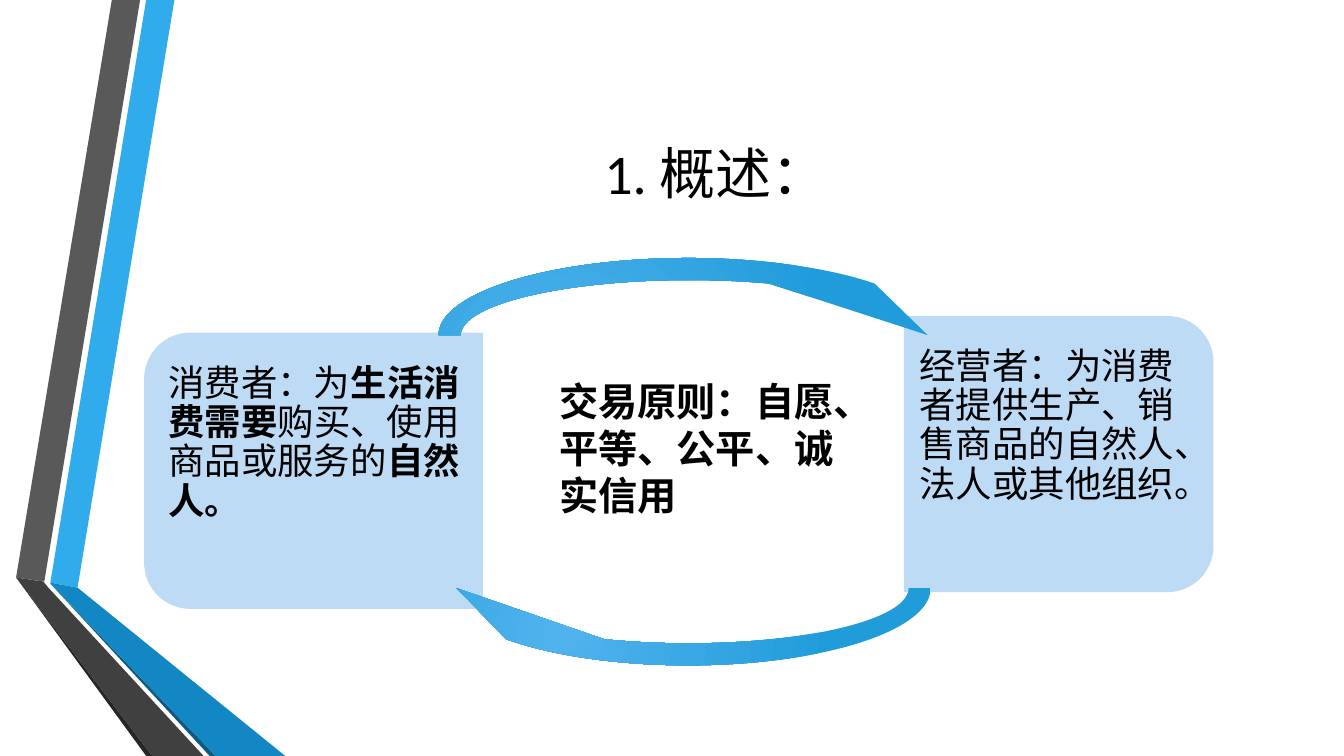
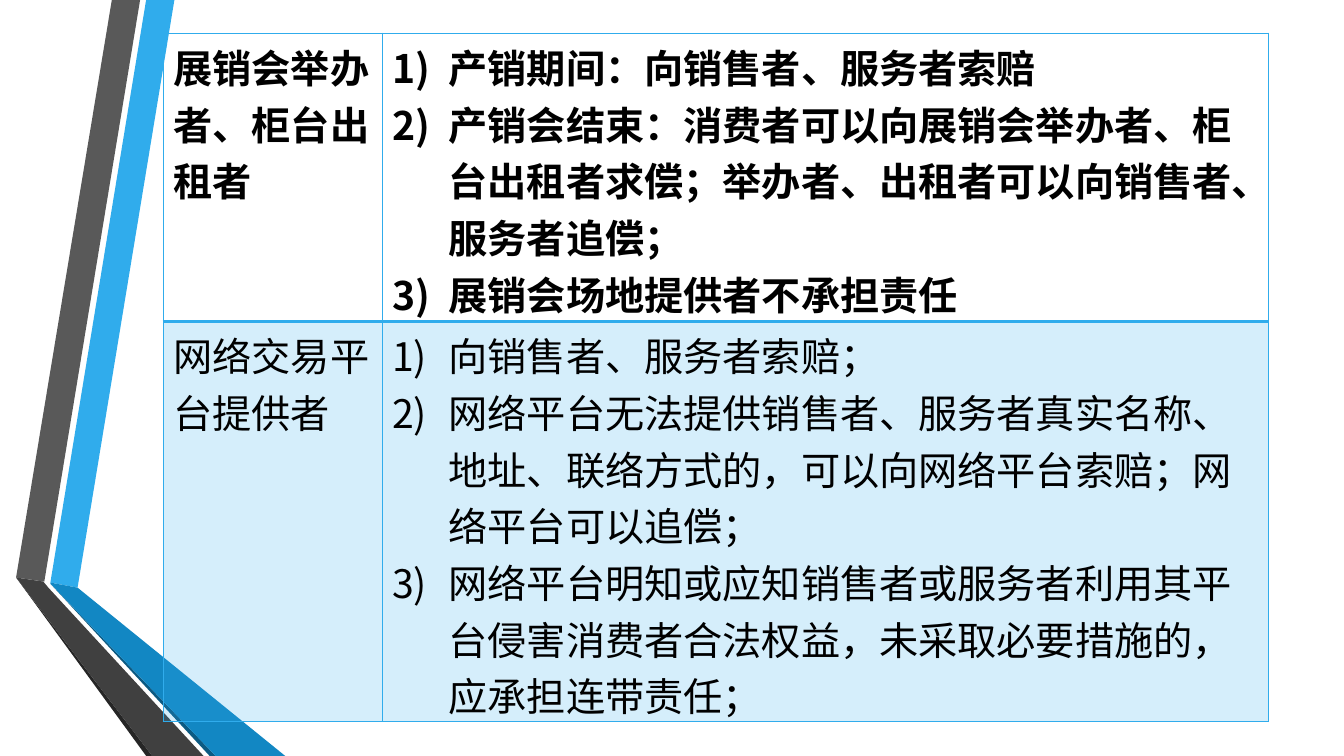
from lxml.etree import SubElement
from pptx import Presentation
from pptx.dml.color import RGBColor
from pptx.enum.lang import MSO_LANGUAGE_ID as Language
from pptx.enum.shapes import MSO_SHAPE as Shape
from pptx.enum.text import MSO_ANCHOR as Anchor, PP_ALIGN as Align
from pptx.oxml.ns import qn
from pptx.util import Inches, Pt

# Content
TITLE = "1. 概述："
# Each run of text is (words, bold).
CONSUMER = [("消费者：为", False), ("生活消费需要", True),
            ("购买、使用商品或服务的", False), ("自然人。", True)]
OPERATOR = [("经营者：为消费者提供生产、销售商品的自然人、法人或其他组织。", False)]
PRINCIPLES = [("交易原则：自愿、平等、公平、诚实信用", True)]
LIABILITY = [
    ("展销会举办者、柜台出租者",
     ["产销期间：向销售者、服务者索赔",
      "产销会结束：消费者可以向展销会举办者、柜台出租者求偿；举办者、出租者可以向销售者、服务者追偿；",
      "展销会场地提供者不承担责任"]),
    ("网络交易平台提供者",
     ["向销售者、服务者索赔；",
      "网络平台无法提供销售者、服务者真实名称、地址、联络方式的，可以向网络平台索赔；网络平台可以追偿；",
      "网络平台明知或应知销售者或服务者利用其平台侵害消费者合法权益，未采取必要措施的，应承担连带责任；"]),
]

# Shared look
WIDTH, HEIGHT = 13.33, 7.5
LEFT, SPAN = 1.62, 10.96
FONT = "Calibri"
COLOURS = {"text": "000000", "sky": "30ACEC", "grey": "595959", "black": "262626",
           "navy": "0C5A82", "blue": "1287C3", "dark": "404040",
           "card": "BEDBF6", "arrow_light": "51B3ED", "arrow_deep": "219CDB"}
BANDS = [
    ("sky", [(0.5, 5.78), (0.77, 5.83), (1.73, 0), (1.45, 0)]),
    ("grey", [(1.39, 0), (1.11, 0), (0.16, 5.73), (0.44, 5.77)]),
    ("black", [(0.16, 5.73), (1.45, HEIGHT), (1.51, HEIGHT)]),
    ("navy", [(0.5, 5.79), (2.08, HEIGHT), (2.14, HEIGHT)]),
    ("blue", [(0.5, 5.79), (2.14, HEIGHT), (2.83, HEIGHT), (0.77, 5.83), (0.5, 5.78)]),
    ("dark", [(2.02, HEIGHT), (0.48, 5.83), (0.43, 5.77), (0.16, 5.73), (1.51, HEIGHT)]),
]

# Areas are (left, top, width, height) in inches.
TITLE_AREA = (LEFT, 0.75, SPAN, 1.92)
CARDS = [  # runs, card area, rotation, text area, left and right inset
    (CONSUMER, (1.74, 2.99, 2.74, 3.36), 270, (1.56, 3.44, 3.23, 2.47), (0.11, 0.16)),
    (OPERATOR, (9.13, 2.97, 2.74, 3.07), 90, (8.96, 3.27, 2.94, 2.47), (0.16, 0.11)),
]
ARROWS = [((4.24, 2.45, 5.18, 1.75), 0), ((4.31, 4.96, 5.03, 1.75), 180)]
ARROW_BEND = (0.125, 11.42, 204.58, 108, 0.125)
PRINCIPLES_AREA = (5.45, 3.69, 2.97, 1.51)
TABLE_TOP, COLUMNS, ROWS, HANGING = 0.33, (2.17, 8.79), (2.86, 3.97), 0.56


def colour(name):
    """Look up a named colour."""
    return RGBColor.from_string(COLOURS[name])


def inches(area):
    """Turn numbers into lengths."""
    return [Inches(length) for length in area]


def paint(shape, name):
    """Give a shape a flat fill without line or shadow."""
    shape.fill.solid()
    shape.fill.fore_color.rgb = colour(name)
    shape.line.fill.background()
    shape.shadow.inherit = False


def write(paragraph, runs, size, east_asian=None):
    """Write (words, bold) runs into a paragraph."""
    for words, bold in runs:
        run = paragraph.add_run()
        run.text = words
        font = run.font
        font.name, font.size, font.bold = FONT, Pt(size), bold
        font.color.rgb = colour("text")
        font.language_id = Language.SIMPLIFIED_CHINESE
        if east_asian:
            run.font._element.find(qn("a:latin")).addnext(
                SubElement(run.font._element, qn("a:ea"), typeface=east_asian))


def add_words(slide, area, runs, size, insets=(0.1, 0.05, 0.1, 0.05)):
    """Add a wrapped text box and return its frame."""
    frame = slide.shapes.add_textbox(*inches(area)).text_frame
    frame.word_wrap = True
    (frame.margin_left, frame.margin_top,
     frame.margin_right, frame.margin_bottom) = inches(insets)
    write(frame.paragraphs[0], runs, size, FONT)
    return frame


def add_slide(deck):
    """Add a blank slide with the folded bands on its left side."""
    slide = deck.slides.add_slide(deck.slide_layouts[6])
    for name, corners in BANDS:
        start, *others = [inches(corner) for corner in corners]
        builder = slide.shapes.build_freeform(*start)
        builder.add_line_segments(others, close=True)
        paint(builder.convert_to_shape(), name)
    return slide


def add_card(slide, runs, area, rotation, text_area, sides):
    """Add a card rounded on its outer side, with its text."""
    card = slide.shapes.add_shape(Shape.ROUND_2_SAME_RECTANGLE, *inches(area))
    card.rotation = rotation
    card.adjustments[0], card.adjustments[1] = 0.167, 0
    paint(card, "card")
    frame = add_words(slide, text_area, runs, 26, (sides[0], 0.18, sides[1], 0.18))
    frame.paragraphs[0].line_spacing = 0.9


def add_arrow(slide, area, rotation):
    """Add a curved arrow with a radial gradient."""
    arrow = slide.shapes.add_shape(Shape.CIRCULAR_ARROW, *inches(area))
    arrow.rotation = rotation
    for index, bend in enumerate(ARROW_BEND):
        arrow.adjustments[index] = bend
    paint(arrow, "arrow_deep")
    arrow.fill.gradient()
    for stop, name in zip(arrow.fill.gradient_stops, ("arrow_light", "arrow_deep")):
        stop.color.rgb = colour(name)
    gradient = arrow._element.spPr.find(qn("a:gradFill"))
    gradient.remove(gradient.find(qn("a:lin")))
    radial = SubElement(gradient, qn("a:path"), path="circle")
    gradient.find(qn("a:gsLst")).addnext(radial)
    SubElement(radial, qn("a:fillToRect"), l="50000", t="100000", r="100000", b="50000")


def add_borders(cell, widths):
    """Draw a cell's left, right, top and bottom borders."""
    properties = cell._tc.get_or_add_tcPr()
    for side, width in zip("LRTB", widths):
        line = SubElement(properties, qn(f"a:ln{side}"), w=str(Pt(width)))
        fill = SubElement(line, qn("a:solidFill"))
        SubElement(fill, qn("a:srgbClr"), val=COLOURS["sky"])


def tint(cell):
    """Fill a cell with a see-through sky colour."""
    cell.fill.solid()
    cell.fill.fore_color.rgb = colour("sky")
    SubElement(cell._tc.tcPr.find(qn("a:solidFill"))[0], qn("a:alpha"), val="20000")


def number(paragraph):
    """Number a paragraph as 1), 2), 3) with a hanging indent."""
    properties = paragraph._p.get_or_add_pPr()
    properties.set("marL", str(Inches(HANGING)))
    properties.set("indent", str(-Inches(HANGING)))
    SubElement(properties, qn("a:buFont"), typeface="+mj-lt")
    SubElement(properties, qn("a:buAutoNum"), type="arabicParenR")


def add_liability_table(slide):
    """Add the table of who is liable and how."""
    table = slide.shapes.add_table(len(ROWS), len(COLUMNS), *inches(
        (LEFT, TABLE_TOP, SPAN, sum(ROWS)))).table
    table.first_row = table.horz_banding = False
    for column, width in zip(table.columns, COLUMNS):
        column.width = Inches(width)
    for index, (party, rules) in enumerate(LIABILITY):
        heading = index == 0
        row = table.rows[index]
        row.height = Inches(ROWS[index])
        for cell, lines in zip(row.cells, ([party], rules)):
            add_borders(cell, (1, 1, 1, 2) if heading else (1, 1, 2, 1))
            if heading:
                cell.fill.background()
            else:
                tint(cell)
            frame = cell.text_frame
            for position, line in enumerate(lines):
                paragraph = frame.add_paragraph() if position else frame.paragraphs[0]
                if lines is rules:
                    number(paragraph)
                write(paragraph, [(line, heading)], 28)


deck = Presentation()
deck.slide_width, deck.slide_height = inches((WIDTH, HEIGHT))

overview = add_slide(deck)
heading_frame = add_words(overview, TITLE_AREA, [(TITLE, False)], 40)
heading_frame.vertical_anchor = Anchor.MIDDLE
heading_frame.paragraphs[0].alignment = Align.CENTER
for card_parts in CARDS:
    add_card(overview, *card_parts)
for arrow_parts in ARROWS:
    add_arrow(overview, *arrow_parts)
add_words(overview, PRINCIPLES_AREA, PRINCIPLES, 28)

add_liability_table(add_slide(deck))
deck.save("out.pptx")
